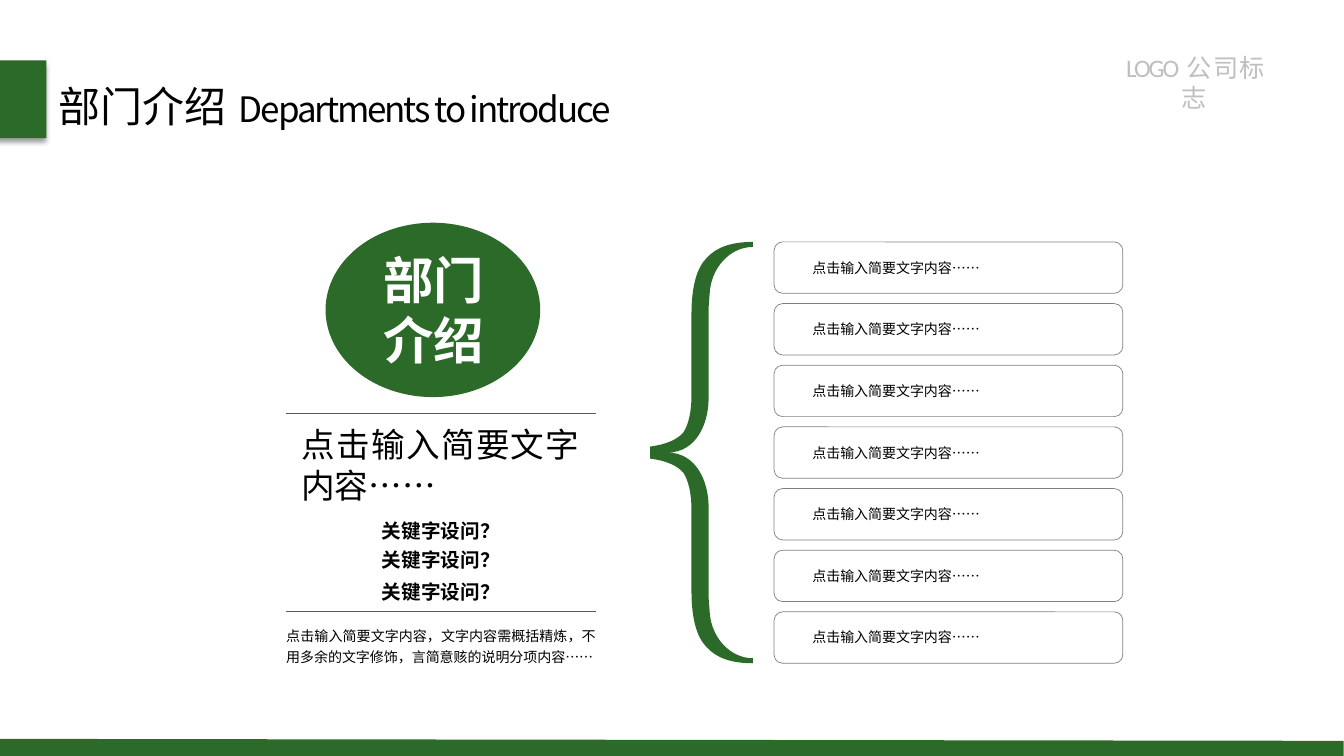
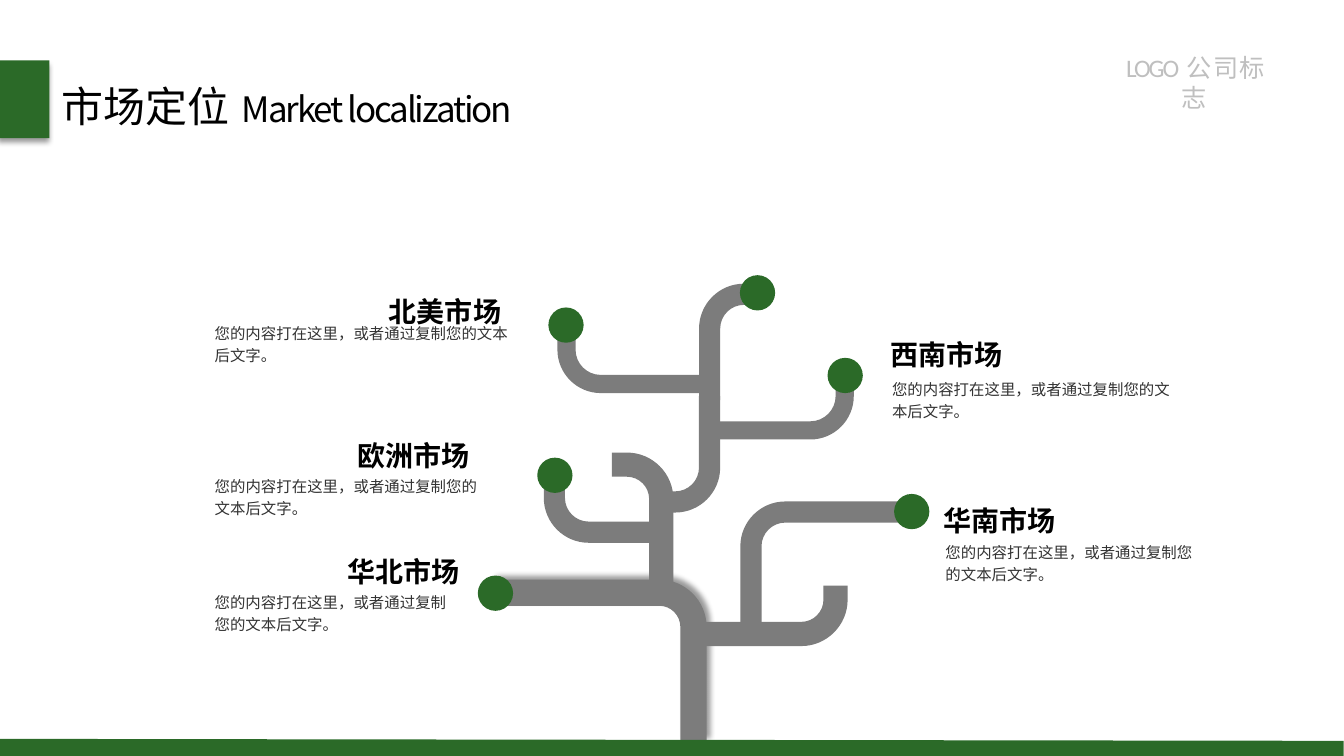
from dataclasses import dataclass

from lxml import etree
from pptx import Presentation
from pptx.dml.color import RGBColor
from pptx.enum.shapes import MSO_CONNECTOR, MSO_SHAPE
from pptx.enum.text import PP_ALIGN
from pptx.oxml.ns import qn
from pptx.util import Pt

PX = 9144  # 100 px to the inch
LEFT, CENTER, RIGHT, JUSTIFY = PP_ALIGN.LEFT, PP_ALIGN.CENTER, PP_ALIGN.RIGHT, PP_ALIGN.JUSTIFY
ELLIPSE, RECT, ROUNDED = MSO_SHAPE.OVAL, MSO_SHAPE.RECTANGLE, MSO_SHAPE.ROUNDED_RECTANGLE
STRAIGHT = MSO_CONNECTOR.STRAIGHT


@dataclass(frozen=True)
class Theme:
    green: str = "2B6A28"
    branch: str = "7C7C7C"
    rule: str = "595959"
    outline: str = "808080"
    logo: str = "BFBFBF"
    body: str = "333333"
    black: str = "000000"
    white: str = "FFFFFF"
    font: str = "Noto Sans CJK SC"
    logo_font: str = "Calibri"
    badge_size: int = 36
    title_size: int = 30
    english_size: int = 25
    lead_size: int = 24
    market_size: int = 20
    logo_size: int = 18
    question_size: int = 14
    body_size: int = 11
    small_size: int = 10


T = Theme()

# Content: shared. In outlines one point is a line, three points are a curve
LOGO = "LOGO  公 司 标 志"
FOOTER = [[(0, 733)], [(1333, 735)], [(1333, 751)], [(0, 752)],
          [(0, 746), (0, 739), (0, 733)]]

# Content: departments
BRIEF = "点击输入简要文字内容……"
QUESTIONS = [("关键字设问？", 515), ("关键字设问？", 544), ("关键字设问？", 575)]
SUMMARY = "点击输入简要文字内容，文字内容需概括精炼，不用多余的文字修饰，言简意赅的说明分项内容……"
ITEMS = [BRIEF] * 7
ITEMS_TOP, ITEMS_BOTTOM, ITEM_HEIGHT = 240, 658, 51
BRACE_MIDDLE = 449
# Upper half of the brace
BRACE_HALF = [
    [(645, 443)],
    [(661, 441), (672, 436), (678, 429)],
    [(683, 421), (686, 409), (686, 392)],
    [(686, 312)],
    [(686, 285), (691, 266), (701, 256)],
    [(711, 245), (726, 240), (747, 240)],
    [(747, 245)],
    [(724, 245), (705, 266), (704, 292)],
    [(703, 305)],
    [(703, 395)],
    [(703, 420), (691, 449), (662, 449)],
]

# Content: markets (name, name left and top, description left, top and width)
MARKET_TEXT = "您的内容打在这里，或者通过复制您的文本后文字。"
MARKETS = [
    ("北美市场", 375, 277, 205, 314, 310),
    ("欧洲市场", 344, 420, 205, 466, 278),
    ("华北市场", 334, 535, 205, 581, 260),
    ("西南市场", 873, 320, 877, 369, 293),
    ("华南市场", 925, 485, 930, 531, 266),
]
# Branches: centre line from start round one corner to the end, then thickness
BEND = 34
ARC = 0.55  # reach of the curve handles of a quarter circle
TRUNK = ((688, 735), (688, 588), (490, 588), 26)
BRANCHES = [
    ((688, 629), (829, 629), (829, 581), 24),
    ((708, 427), (838, 427), (838, 379), 18),
    ((656, 589), (656, 461), (607, 461), 24),
    ((745, 633), (745, 508), (905, 508), 21),
    ((701, 381), (562, 381), (562, 333), 18),
    ((656, 528), (550, 528), (550, 480), 21),
    ((656, 498), (704, 498), (704, 393), 21),
    ((704, 397), (704, 292), (753, 292), 21),
]
BUD = 35
BUDS = [(474, 571), (533, 454), (887, 490), (821, 355), (544, 305), (734, 273)]


def emu(*lengths):
    return [round(length * PX) for length in lengths]


def rgb(colour):
    return RGBColor.from_string(colour)


# Drawing helpers
def paint(shape, fill, line=None):
    shape.shadow.inherit = False
    shape.fill.solid()
    shape.fill.fore_color.rgb = rgb(fill)
    if line:
        shape.line.color.rgb = rgb(line)
        shape.line.width = Pt(0.5)
    else:
        shape.line.fill.background()
    return shape


def add_box(slide, kind, box, fill, line=None):
    return paint(slide.shapes.add_shape(kind, *emu(*box)), fill, line)


def add_outline(slide, segments, fill):
    """Draw a closed outline, turning each three-point segment into a curve."""
    points = [emu(*point) for segment in segments for point in segment]
    builder = slide.shapes.build_freeform(*points[0], scale=1.0)
    builder.add_line_segments(points[1:], close=False)
    shape = builder.convert_to_shape()
    outline = next(shape._element.iter(qn("a:path")))
    lines = iter(outline.findall(qn("a:lnTo")))
    for segment in segments[1:]:
        first, *others = [next(lines) for _ in segment]
        if others:
            first.tag = qn("a:cubicBezTo")
            for other in others:
                first.append(other[0])
                outline.remove(other)
    etree.SubElement(outline, qn("a:close"))
    return paint(shape, fill)


def add_shadow(shape, degrees):
    effects = shape._element.spPr.find(qn("a:effectLst"))
    shadow = etree.SubElement(effects, qn("a:outerShdw"), blurRad=str(Pt(4)),
                              dist=str(Pt(3)), dir=str(degrees * 60000))
    black = etree.SubElement(shadow, qn("a:srgbClr"), val=T.black)
    etree.SubElement(black, qn("a:alpha"), val="40000")


def add_rule(slide, left, right, y):
    rule = slide.shapes.add_connector(STRAIGHT, *emu(left, y, right, y))
    rule.line.color.rgb = rgb(T.rule)
    rule.line.width = Pt(0.5)
    etree.SubElement(rule._element.spPr, qn("a:effectLst"))


def add_text(slide, text, box, size, colour=T.black, align=LEFT, bold=False, inset=(0, 0),
             wrap=True, leading=None, tracking=None, font=T.font):
    frame = slide.shapes.add_textbox(*emu(*box)).text_frame
    frame.word_wrap = wrap
    frame.margin_left = frame.margin_right = inset[0] * PX
    frame.margin_top = frame.margin_bottom = inset[1] * PX
    paragraph = frame.paragraphs[0]
    paragraph.text = text
    paragraph.alignment = align
    if leading:
        paragraph.line_spacing = leading
    style = paragraph.font
    style.size, style.bold, style.name = Pt(size), bold, font
    style.color.rgb = rgb(colour)
    defaults = paragraph._p.pPr.find(qn("a:defRPr"))
    etree.SubElement(defaults, qn("a:ea"), typeface=T.font)
    if tracking:
        defaults.set("spc", str(round(tracking * 100)))


# Geometry
def reverse(segments):
    """The same outline, walked from its end to its start."""
    points = [point for segment in segments for point in segment][::-1]
    result, used = [points[:1]], 1
    for segment in segments[:0:-1]:
        result.append(points[used:used + len(segment)])
        used += len(segment)
    return result


def direction(start, end):
    length = abs(end[0] - start[0]) + abs(end[1] - start[1])
    return (end[0] - start[0]) / length, (end[1] - start[1]) / length


def branch_side(start, corner, end, offset):
    """One edge of a branch, offset outwards from its centre line."""
    u, v = direction(start, corner), direction(corner, end)
    radius = BEND + offset
    handle = radius * (1 - ARC)

    def shift(point, along_u, along_v):
        return tuple(point[a] + u[a] * along_u + v[a] * along_v for a in (0, 1))

    edge = shift(corner, offset, -offset)
    return [
        [shift(start, 0, -offset)],
        [shift(edge, -radius, 0)],
        [shift(edge, -handle, 0), shift(edge, 0, handle), shift(edge, 0, radius)],
        [shift(end, offset, 0)],
    ]


def add_branch(slide, start, corner, end, width):
    outer = branch_side(start, corner, end, width / 2)
    inner = branch_side(start, corner, end, -width / 2)
    return add_outline(slide, outer + reverse(inner), T.branch)


# Slides
def add_slide(deck):
    return deck.slides.add_slide(deck.slide_layouts[6])


def add_frame(slide, title, english, english_width, shift=0):
    add_text(slide, LOGO, (1094, 47, 182, 40), T.logo_size, T.logo, CENTER,
             inset=(10, 5), tracking=-1.5, font=T.logo_font)
    add_text(slide, english, (232 + shift, 84, english_width, 47), T.english_size,
             inset=(5, 3), wrap=False, tracking=-1.5)
    add_text(slide, title, (47 + shift, 75, 188, 61), T.title_size, align=CENTER,
             inset=(10, 5), wrap=False)
    add_shadow(add_box(slide, RECT, (shift - 5, 60, 51, 77), T.green), 90)
    add_outline(slide, FOOTER, T.green)


def build_departments(deck):
    slide = add_slide(deck)

    # Badge and key questions
    add_box(slide, ELLIPSE, (323, 221, 213, 173), T.green)
    add_text(slide, "部门介绍", (361, 247, 138, 121), T.badge_size, T.white, CENTER, bold=True)
    for y in (410, 607):
        add_rule(slide, 284, 591, y)
    add_text(slide, BRIEF, (299, 421, 276, 81), T.lead_size, align=JUSTIFY)
    for question, top in QUESTIONS:
        add_text(slide, question, (351, top, 173, 24), T.question_size, align=CENTER, bold=True)
    add_text(slide, SUMMARY, (284, 618, 307, 42), T.small_size, align=JUSTIFY, leading=Pt(15))

    # Brace
    mirrored = [[(x, 2 * BRACE_MIDDLE - y) for x, y in segment]
                for segment in reverse(BRACE_HALF)]
    add_outline(slide, BRACE_HALF + mirrored[1:], T.green)

    # Item list
    pitch = (ITEMS_BOTTOM - ITEMS_TOP - ITEM_HEIGHT) / (len(ITEMS) - 1)
    tops = [ITEMS_TOP + row * pitch for row in range(len(ITEMS))]
    for top in tops:
        add_box(slide, ROUNDED, (768, top, 346, ITEM_HEIGHT), T.white, T.outline)
    for item, top in zip(ITEMS, tops):
        add_text(slide, item, (806, top + 17, 253, 17), T.small_size, align=JUSTIFY)

    add_frame(slide, "部门介绍", "Departments to introduce", 395)


def build_markets(deck):
    slide = add_slide(deck)

    # Tree
    add_shadow(add_branch(slide, *TRUNK), 315)
    for branch in BRANCHES:
        add_branch(slide, *branch)
    for left, top in BUDS:
        add_box(slide, ELLIPSE, (left, top, BUD, BUD), T.green)

    # Market labels
    for name, name_left, name_top, left, top, width in MARKETS:
        add_text(slide, name, (name_left, name_top, 132, 54), T.market_size, align=RIGHT,
                 bold=True, inset=(10, 5), wrap=False, leading=1.3)
        add_text(slide, MARKET_TEXT, (left, top, width, 52), T.body_size, T.body,
                 inset=(8, 4), leading=1.2)

    add_frame(slide, "市场定位", "Market localization", 289, shift=3)


def main():
    deck = Presentation()
    deck.slide_width, deck.slide_height = Pt(960), Pt(540)
    build_departments(deck)
    build_markets(deck)
    deck.save("out.pptx")


if __name__ == "__main__":
    main()
